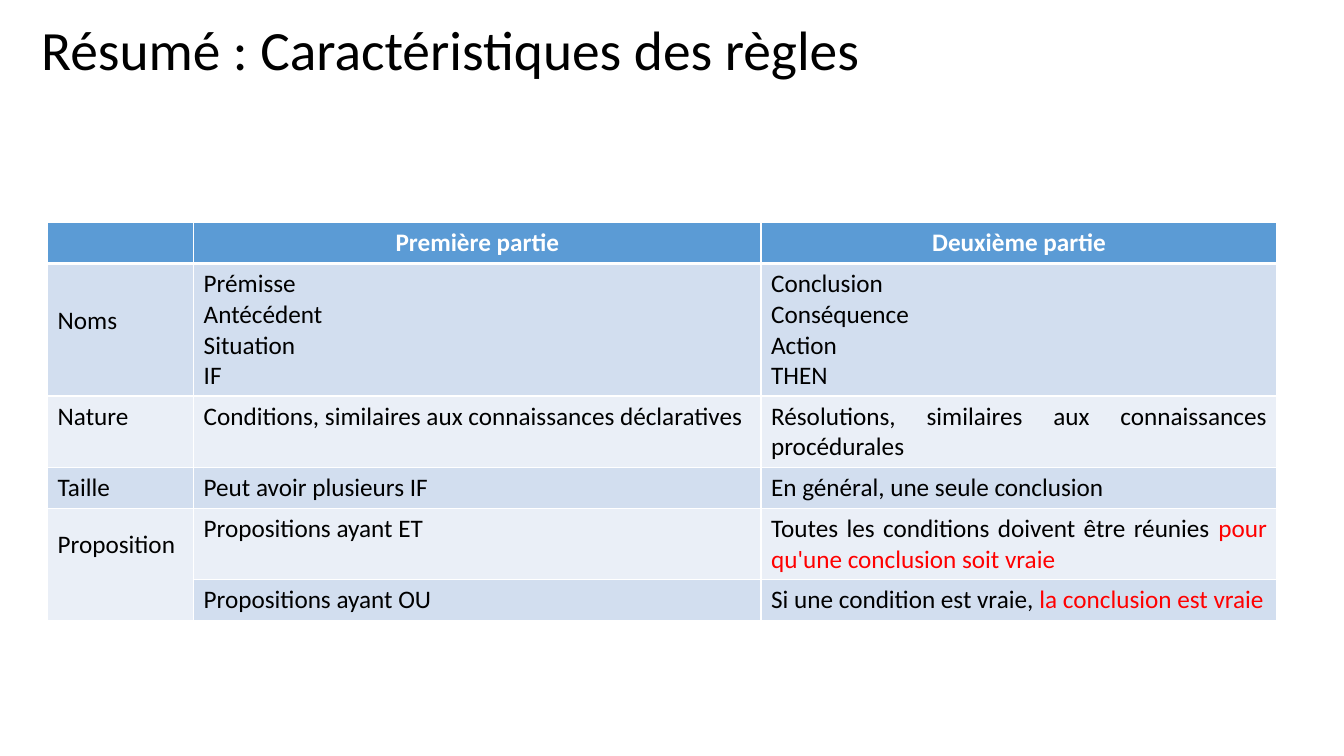
from lxml.etree import SubElement
from pptx import Presentation
from pptx.dml.color import RGBColor
from pptx.enum.text import MSO_ANCHOR, PP_ALIGN
from pptx.oxml.ns import qn
from pptx.util import Cm, Pt

# Content: a cell is a list of lines, a line is a list of (text, colour) runs
TITLE = "Résumé : Caractéristiques des règles"
HEADER = ["", "Première partie", "Deuxième partie"]
ROWS = [
    ("Noms",
     [[(t, "black")] for t in ("Prémisse", "Antécédent", "Situation", "IF")],
     [[(t, "black")] for t in ("Conclusion", "Conséquence", "Action", "THEN")]),
    ("Nature",
     [[("Conditions, similaires aux connaissances déclaratives", "black")]],
     [[("Résolutions, similaires aux connaissances procédurales", "black")]]),
    ("Taille",
     [[("Peut avoir plusieurs IF", "black")]],
     [[("En général, une seule conclusion", "black")]]),
    ("Proposition",
     [[("Propositions ayant ET", "black")]],
     [[("Toutes les conditions doivent être réunies ", "black"),
       ("pour qu'une conclusion soit vraie", "red")]]),
    ("",
     [[("Propositions ayant OU", "black")]],
     [[("Si une condition est vraie, ", "black"),
       ("la conclusion est vraie", "red")]]),
]
LABEL_TOP = {"Noms": 1.07, "Proposition": 0.54}  # lowered row labels, cm
COL_WIDTHS = [3.68, 14.3, 13.0]
LINES_PER_ROW = [1, 4, 2, 1, 2, 1]
LINE_HEIGHT, CELL_PADDING = 0.77, 0.26
COLORS = {"black": "000000", "white": "FFFFFF", "red": "FF0000",
          "header": "5B9BD5", "band_dark": "D2DEEF", "band_light": "EAEFF7"}


def write(tf, lines, size=18, bold=False, align=PP_ALIGN.LEFT, spacing=None):
    for i, line in enumerate(lines):
        p = tf.paragraphs[0] if i == 0 else tf.add_paragraph()
        p.alignment = align
        p.line_spacing = spacing
        for text, color in line:
            r = p.add_run()
            r.text = text
            r.font.name = "Calibri"
            r.font.size = Pt(size)
            r.font.bold = bold
            r.font.color.rgb = RGBColor.from_string(COLORS[color])


def paint(cell, fill, bottom=1):
    tcPr = cell._tc.get_or_add_tcPr()
    for side, width in (("L", 1), ("R", 1), ("T", 1), ("B", bottom)):
        ln = SubElement(tcPr, qn(f"a:ln{side}"), w=str(Pt(width)))
        line_fill = SubElement(ln, qn("a:solidFill"))
        SubElement(line_fill, qn("a:srgbClr"), val=COLORS["white"])
    cell.fill.solid()
    cell.fill.fore_color.rgb = RGBColor.from_string(COLORS[fill])


prs = Presentation()
prs.slide_width, prs.slide_height = Cm(33.87), Cm(19.05)
s = prs.slides.add_slide(prs.slide_layouts[6])

# Title
tf = s.shapes.add_textbox(Cm(0.79), Cm(0.56), Cm(29.21), Cm(1.55)).text_frame
tf.word_wrap = True
tf.margin_top = tf.margin_bottom = 0
tf.vertical_anchor = MSO_ANCHOR.MIDDLE
write(tf, [[(TITLE, "black")]], size=39.6, spacing=0.9)

# Table grid
heights = [n * LINE_HEIGHT + CELL_PADDING for n in LINES_PER_ROW]
table = s.shapes.add_table(len(heights), len(COL_WIDTHS), Cm(1.2), Cm(5.61),
                           Cm(sum(COL_WIDTHS)), Cm(sum(heights))).table
table.first_row = table.horz_banding = False
for col, width in zip(table.columns, COL_WIDTHS):
    col.width = Cm(width)
for row, height in zip(table.rows, heights):
    row.height = Cm(height)

# Header row
for c, text in enumerate(HEADER):
    cell = table.cell(0, c)
    paint(cell, "header", bottom=3)
    if text:
        write(cell.text_frame, [[(text, "white")]], bold=True,
              align=PP_ALIGN.CENTER)

# Body rows, with alternating bands
for n, (label, *parts) in enumerate(ROWS, start=1):
    band = "band_dark" if n % 2 else "band_light"
    for c in range(len(COL_WIDTHS)):
        paint(table.cell(n, c), band)
    if label:
        cell = table.cell(n, 0)
        write(cell.text_frame, [[(label, "black")]])
        cell.margin_top = Cm(LABEL_TOP.get(label, CELL_PADDING / 2))
    for c, lines in enumerate(parts, start=1):
        write(table.cell(n, c).text_frame, lines, align=PP_ALIGN.JUSTIFY)

# "Proposition" covers the last two rows
table.cell(4, 0).merge(table.cell(5, 0))

prs.save("out.pptx")
